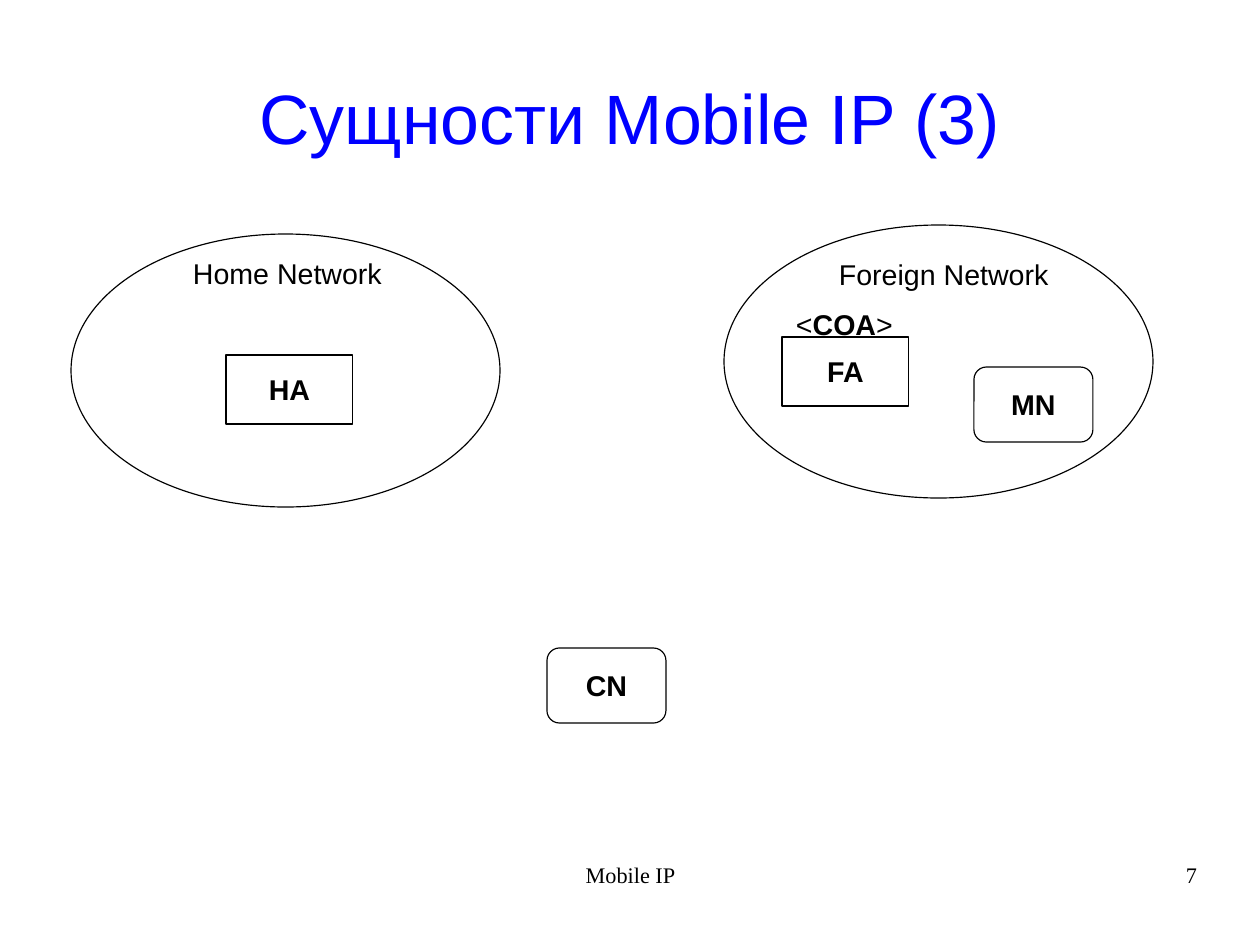
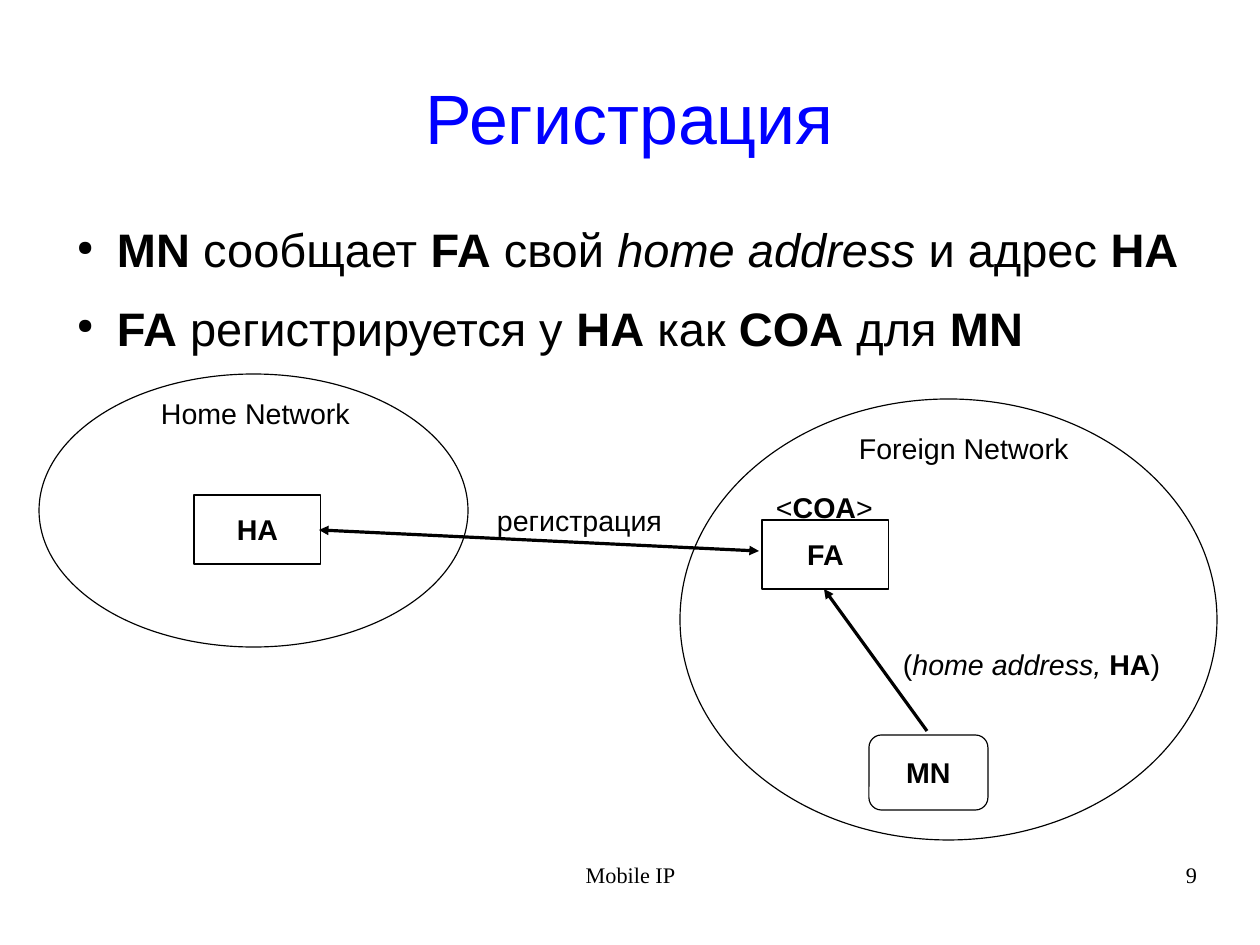
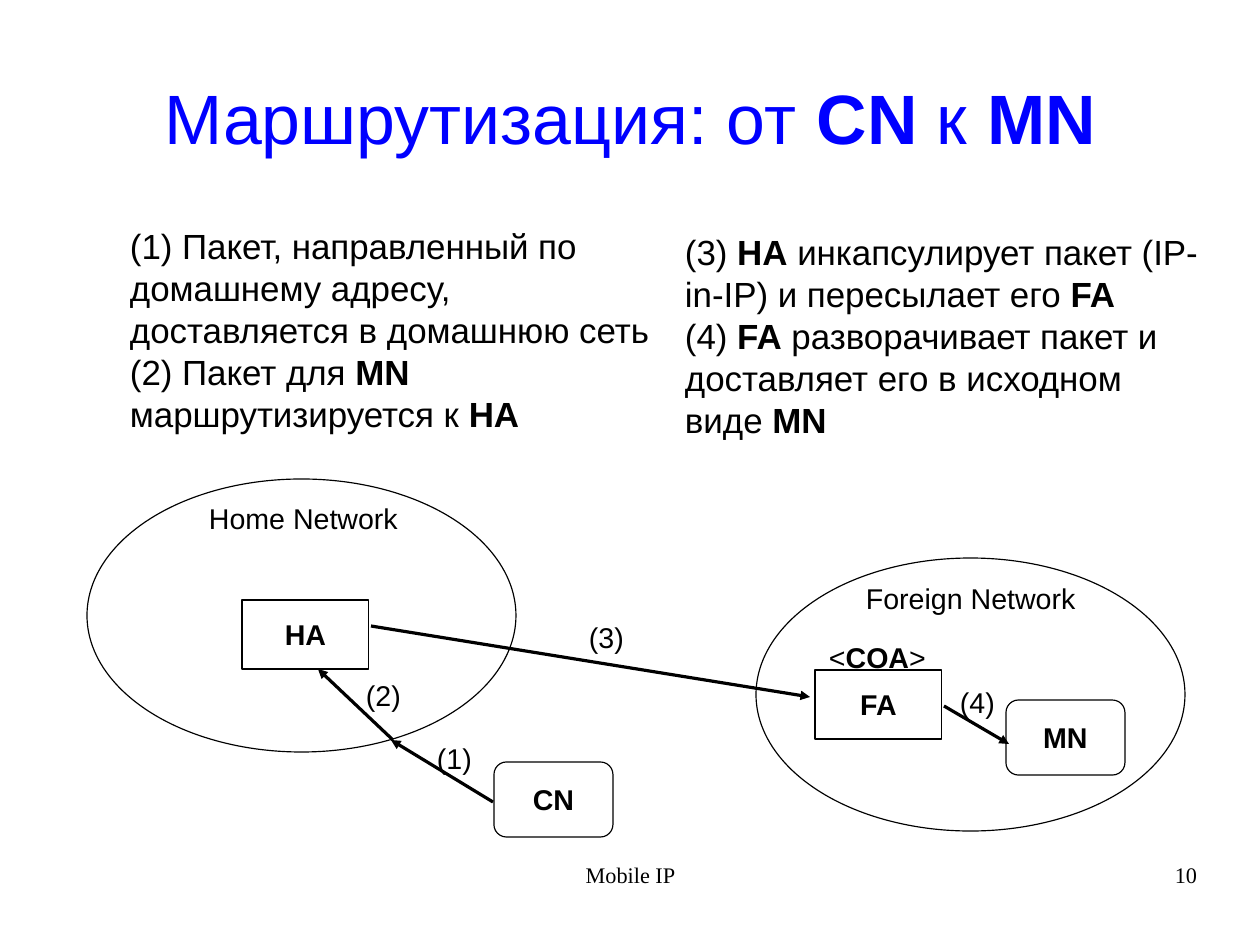
from lxml import etree
from pptx import Presentation, util as u
from pptx.dml.color import RGBColor
from pptx.enum import shapes, text
from pptx.oxml.ns import qn

PX = 8000
BLACK, BLUE = RGBColor(0, 0, 0), RGBColor(0, 0, 255)
LEFT, CENTER, RIGHT = text.PP_ALIGN.LEFT, text.PP_ALIGN.CENTER, text.PP_ALIGN.RIGHT
TOP, MIDDLE = text.MSO_ANCHOR.TOP, text.MSO_ANCHOR.MIDDLE
KIND = shapes.MSO_SHAPE

THEME = {
    "line": BLACK,
    "line_width": u.Pt(0),
    "title": {"size": 44, "font": "Arial", "colour": BLUE, "align": CENTER, "anchor": MIDDLE, "inset": (0, 0)},
    "bullets": {"size": 29.6, "font": "Arial", "colour": BLACK, "align": LEFT, "anchor": TOP, "inset": (0, 0)},
    "steps": {"size": 22, "font": "Arial", "colour": BLACK, "align": LEFT, "anchor": TOP, "inset": (11, 6)},
    "label": {"size": 18, "font": "Arial", "colour": BLACK, "align": LEFT, "anchor": TOP, "inset": (11, 6)},
    "node": {"size": 18, "font": "Arial", "colour": BLACK, "align": CENTER, "anchor": MIDDLE, "inset": (11, 6)},
    "footer": {"size": 14, "font": "Times New Roman", "colour": BLACK, "align": CENTER, "anchor": TOP, "inset": (0, 0)},
    "number": {"size": 14, "font": "Times New Roman", "colour": BLACK, "align": RIGHT, "anchor": TOP, "inset": (0, 0)},
}

NETWORK = (429, 273)
AGENT = (127, 69)
HOST = (119, 75)

SLIDES = [
    {
        "title": "Сущности Mobile IP (3)",
        "number": "7",
        "home": (71, 234),
        "foreign": (724, 225, *NETWORK),
        "foreign_label": (828, 251),
        "FA": (782, 337),
        "hosts": {"MN": (974, 367), "CN": (547, 648)},
    },
    {
        "title": "Регистрация",
        "number": "9",
        "texts": [("bullets", (63, 221, 1134, 131), [
            "*MN* сообщает *FA* свой _home address_ и адрес *HA*",
            "*FA* регистрируется у *HA* как *COA* для *MN*",
        ])],
        "home": (39, 374),
        "foreign": (680, 399, 537, 441),
        "foreign_label": (848, 425),
        "FA": (762, 520),
        "hosts": {"MN": (869, 735)},
        "arrows": [
            ((927, 731, 824, 589), ["tailEnd"]),
            ((759, 551, 319, 530), ["headEnd", "tailEnd"]),
        ],
        "labels": [
            ("(_home address, _*HA*)", (892, 641, 290, 43)),
            ("регистрация", (486, 497, 196, 43)),
        ],
    },
    {
        "title": "Маршрутизация: от *CN* к *MN*",
        "number": "10",
        "texts": [
            ("steps", (119, 219, 553, 246), [
                "(1) Пакет, направленный по домашнему адресу, доставляется в домашнюю сеть",
                "(2) Пакет для *MN* маршрутизируется к *HA*",
            ]),
            ("steps", (674, 225, 538, 253), [
                "(3) *HA* инкапсулирует пакет (IP-in-IP) и пересылает его *FA*",
                "(4) *FA* разворачивает пакет и доставляет его в исходном виде *MN*",
            ]),
        ],
        "home": (87, 479),
        "foreign": (756, 558, *NETWORK),
        "foreign_label": (855, 575),
        "FA": (815, 670),
        "hosts": {"MN": (1006, 700), "CN": (494, 762)},
        "arrows": [
            ((493, 802, 391, 740), ["tailEnd"]),
            ((393, 740, 318, 669), ["tailEnd"]),
            ((371, 626, 810, 697), ["tailEnd"]),
            ((944, 706, 1009, 744), ["tailEnd"]),
        ],
        "labels": [
            ("(1)", (426, 735, 62, 43)),
            ("(2)", (355, 672, 62, 43)),
            ("(3)", (578, 614, 62, 43)),
            ("(4)", (949, 679, 62, 43)),
        ],
    },
]


def write(holder, lines, role):
    style = THEME[role]
    across, down = (inset * PX for inset in style["inset"])
    frame_format = {
        "word_wrap": True, "vertical_anchor": style["anchor"],
        "margin_left": across, "margin_right": across,
        "margin_top": down, "margin_bottom": down,
    }
    for name, value in frame_format.items():
        setattr(holder.text_frame, name, value)
    for order, line in enumerate(lines):
        paragraph = holder.text_frame.paragraphs[0] if order == 0 else holder.text_frame.add_paragraph()
        paragraph.alignment = style["align"]
        for strong, part in enumerate(line.split("*")):
            for slanted, piece in enumerate(part.split("_")):
                if piece:
                    run = paragraph.add_run()
                    run.text = piece
                    run_format = {
                        "size": u.Pt(style["size"]), "name": style["font"],
                        "bold": strong % 2 == 1, "italic": slanted % 2 == 1,
                    }
                    for name, value in run_format.items():
                        setattr(run.font, name, value)
                    run.font.color.rgb = style["colour"]
        if role == "bullets":
            paragraph.space_after = u.Pt(14.1)
            properties = paragraph._p.get_or_add_pPr()
            properties.set("marL", str(54 * PX))
            properties.set("indent", str(-40 * PX))
            colour = etree.SubElement(properties, qn("a:buClr"))
            etree.SubElement(colour, qn("a:srgbClr"), val=str(style["colour"]))
            etree.SubElement(properties, qn("a:buSzPct"), val="45000")
            etree.SubElement(properties, qn("a:buChar"), char="●")


def outline(slide, kind, box, caption=None):
    figure = slide.shapes.add_shape(kind, *(side * PX for side in box))
    figure.shadow.inherit = False
    figure.fill.background()
    figure.line.color.rgb = THEME["line"]
    figure.line.width = THEME["line_width"]
    if caption:
        write(figure, [f"*{caption}*"], "node")


deck = Presentation()
deck.slide_width, deck.slide_height = 1260 * PX, 945 * PX

for content in SLIDES:
    slide = deck.slides.add_slide(deck.slide_layouts[6])
    home_x, home_y = content["home"]
    agent_x, agent_y = content["FA"]

    outline(slide, KIND.OVAL, (home_x, home_y, *NETWORK))
    outline(slide, KIND.OVAL, content["foreign"])
    outline(slide, KIND.RECTANGLE, (home_x + 155, home_y + 121, *AGENT), "HA")
    outline(slide, KIND.RECTANGLE, (agent_x, agent_y, *AGENT), "FA")
    for host, corner in content["hosts"].items():
        outline(slide, KIND.ROUNDED_RECTANGLE, (*corner, *HOST), host)

    for ends, heads in content.get("arrows", []):
        arrow = slide.shapes.add_connector(shapes.MSO_CONNECTOR.STRAIGHT, *(end * PX for end in ends))
        arrow.line.color.rgb = THEME["line"]
        arrow.line.width = THEME["line_width"]
        for head in heads:
            etree.SubElement(arrow.line._get_or_add_ln(), qn(f"a:{head}"), type="triangle")
        etree.SubElement(arrow._element.spPr, qn("a:effectLst"))

    writing = [
        ("title", (63, 38, 1134, 158), [content["title"]]),
        ("label", (home_x + 111, home_y + 16, 224, 43), ["Home Network"]),
        ("label", (*content["foreign_label"], 250, 43), ["Foreign Network"]),
        ("label", (agent_x + 3, agent_y - 36, 130, 43), ["<*COA*>"]),
        *(("label", box, [caption]) for caption, box in content.get("labels", [])),
        *content.get("texts", []),
        ("footer", (431, 861, 399, 65), ["Mobile IP"]),
        ("number", (903, 861, 294, 65), [content["number"]]),
    ]
    for role, box, lines in writing:
        write(slide.shapes.add_textbox(*(side * PX for side in box)), lines, role)

deck.save("out.pptx")
